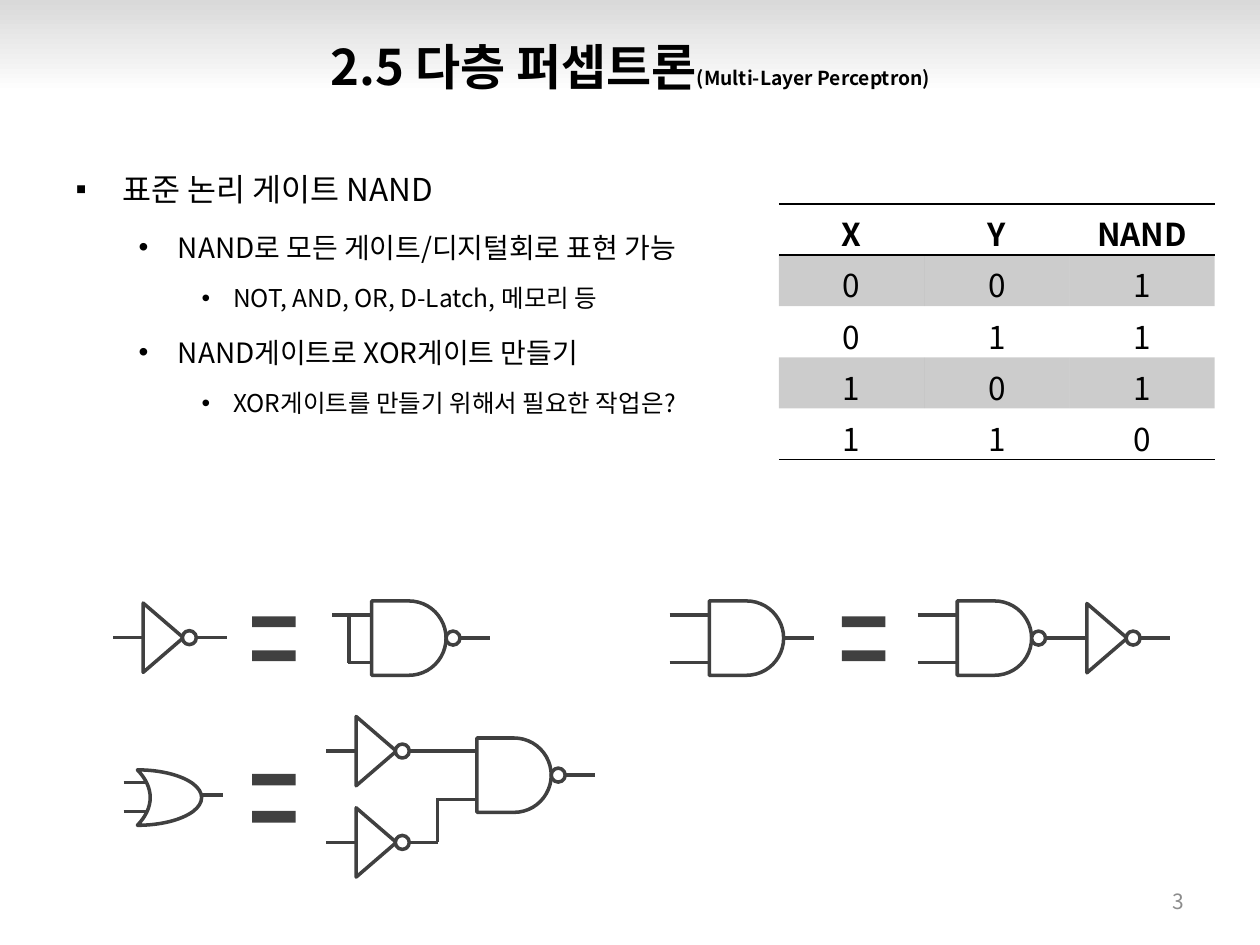
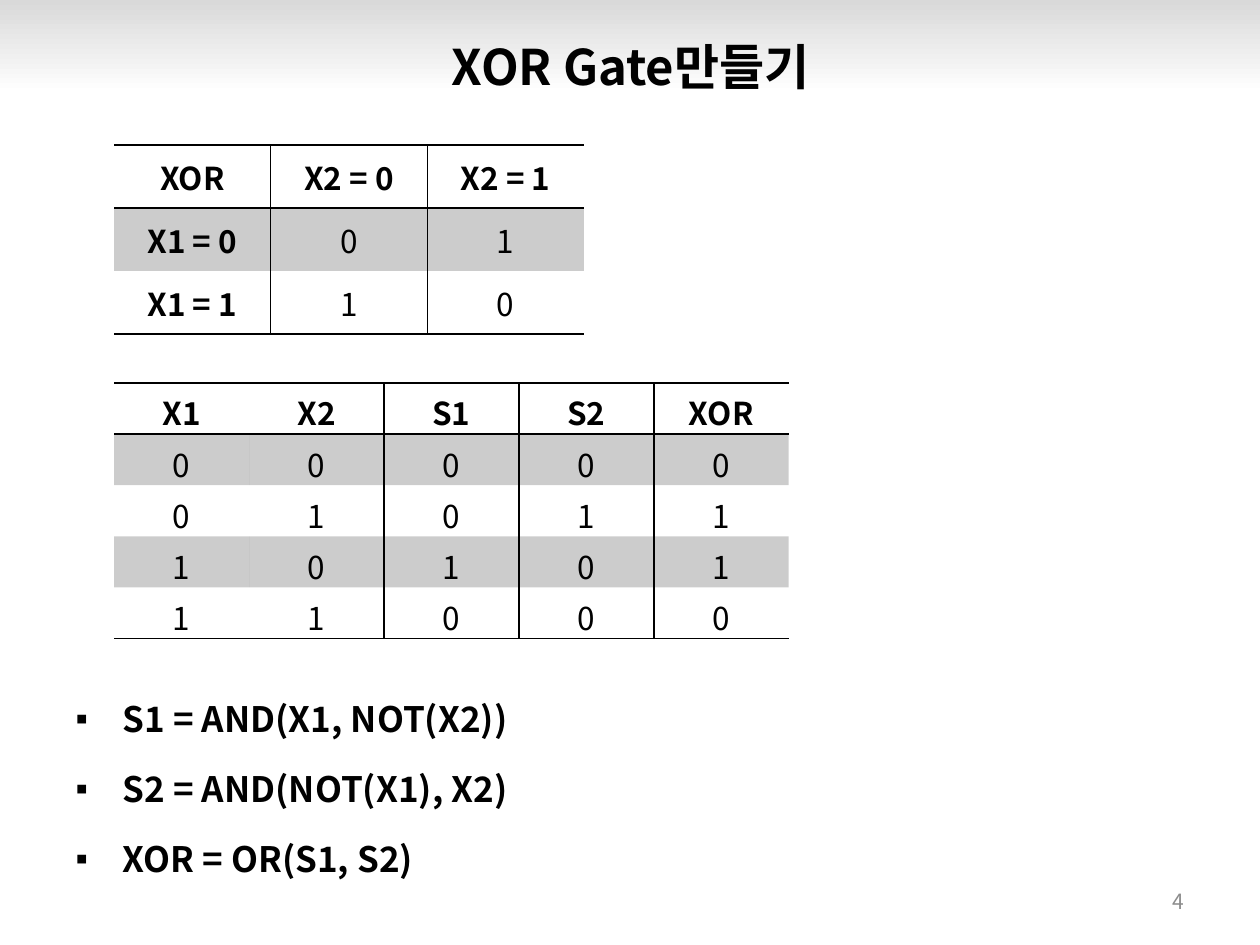
import pptx
import pptx.dml.color
import pptx.enum.shapes
import pptx.enum.text
import pptx.oxml
import pptx.oxml.ns
import pptx.util
from lxml import etree

Pt = pptx.util.Pt
Preset = pptx.enum.shapes.MSO_SHAPE
Align = pptx.enum.text.PP_ALIGN
Anchor = pptx.enum.text.MSO_ANCHOR
qn = pptx.oxml.ns.qn

FONT = "Noto Sans CJK KR"
COLORS = {"text": "000000", "paper": "FFFFFF", "band": "D9D9D9",
          "number": "8C8C8C", "gate": "404040"}
BULLETS = ["▪", "•", "•"]
LEAD = 17.25
BUBBLE = 8
BODY_SIZE = 42.5
INPUT_ROWS = (7.9, 35.3)


def color(name):
    return pptx.dml.color.RGBColor.from_string(COLORS[name])


def set_attributes(target, values):
    for name, value in values.items():
        setattr(target, name, value)


def place(shape, box):
    names = ("left", "top", "width", "height")
    set_attributes(shape, dict(zip(names, map(Pt, box))))


def add_run(paragraph, text, size, bold=False, tone="text"):
    run = paragraph.add_run()
    run.text = text
    set_attributes(run.font, {"size": Pt(size), "bold": bold, "name": FONT})
    run.font.color.rgb = color(tone)
    east_asian = etree.SubElement(run.font._element, qn("a:ea"))
    east_asian.set("typeface", FONT)


def add_band(presentation, slide):
    shape = slide.shapes.add_shape(Preset.RECTANGLE, 0, 0, Pt(720), Pt(53.3))
    shape.shadow.inherit = False
    shape.line.fill.background()
    shape.fill.gradient()
    shape.fill.gradient_angle = 270
    for stop, tone in zip(shape.fill.gradient_stops, ("band", "paper")):
        stop.color.rgb = color(tone)
    shape.element.nvSpPr.cNvPr.set("id", "20")
    presentation.slide_master.shapes.element.insert(2, shape.element)


def add_title(slide, box, parts):
    title = slide.shapes.title
    place(title, box)
    frame = title.text_frame
    set_attributes(frame, {"vertical_anchor": Anchor.MIDDLE,
                           "auto_size": pptx.enum.text.MSO_AUTO_SIZE.NONE})
    frame.paragraphs[0].alignment = Align.CENTER
    for text, size in parts:
        add_run(frame.paragraphs[0], text, size, bold=True)


def add_list(slide, box, items, sizes, bold=False):
    body = slide.placeholders[1]
    place(body, box)
    frame = body.text_frame
    frame.auto_size = pptx.enum.text.MSO_AUTO_SIZE.NONE
    for index, (level, text) in enumerate(items):
        paragraph = frame.add_paragraph() if index else frame.paragraphs[0]
        set_attributes(paragraph, {"level": level, "line_spacing": 1.5})
        bullet = etree.SubElement(paragraph._p.get_or_add_pPr(), qn("a:buChar"))
        bullet.set("char", BULLETS[level])
        add_run(paragraph, text, sizes[level], bold)


def add_number(slide, box, number):
    shape = slide.shapes.add_textbox(*map(Pt, box))
    frame = shape.text_frame
    set_attributes(frame, {"word_wrap": True, "vertical_anchor": Anchor.MIDDLE})
    frame.paragraphs[0].alignment = Align.RIGHT
    add_run(frame.paragraphs[0], str(number), 12, tone="number")


def add_slide(presentation, number, title_parts):
    slide = presentation.slides.add_slide(presentation.slide_layouts[1])
    add_title(slide, (11.5, 9.4, 697.7, 56.9), title_parts)
    add_number(slide, (516, 500.5, 168, 28.8), number)
    return slide


def set_borders(cell, visible):
    properties = cell._tc.get_or_add_tcPr()
    for index, side in enumerate("LRTB"):
        border = etree.Element(qn("a:ln" + side), w=str(Pt(1)))
        if side in visible:
            fill = etree.SubElement(border, qn("a:solidFill"))
            etree.SubElement(fill, qn("a:srgbClr"), val=COLORS["text"])
        else:
            etree.SubElement(border, qn("a:noFill"))
        properties.insert(index, border)


def fill_cell(cell, shaded):
    if not shaded:
        cell.fill.background()
        return
    cell.fill.solid()
    cell.fill.fore_color.rgb = color("text")
    tint = cell._tc.tcPr.find(".//" + qn("a:srgbClr"))
    etree.SubElement(tint, qn("a:alpha"), val="20000")


def add_truth_table(slide, box, rows, rules=(), header_column=False,
                    anchor=Anchor.TOP):
    last = len(rows) - 1
    frame = slide.shapes.add_table(len(rows), len(rows[0]), *map(Pt, box))
    table = frame.table
    for column in table.columns:
        column.width = Pt(box[2] / len(rows[0]))
    for row in table.rows:
        row.height = Pt(box[3] / len(rows))
    for r, row in enumerate(rows):
        for c, text in enumerate(row):
            cell = table.cell(r, c)
            cell.vertical_anchor = anchor
            paragraph = cell.text_frame.paragraphs[0]
            paragraph.alignment = Align.CENTER
            add_run(paragraph, text, 18, r == 0 or (header_column and c == 0))
            fill_cell(cell, r % 2 == 1)
            tests = {"L": c in rules, "R": c + 1 in rules,
                     "T": r < 2, "B": r in (0, last)}
            set_borders(cell, [side for side, shown in tests.items() if shown])


def add_outline(shapes, preset, box, rotation=0):
    shape = shapes.add_shape(preset, *map(Pt, box))
    shape.shadow.inherit = False
    shape.rotation = rotation
    shape.fill.solid()
    shape.fill.fore_color.rgb = color("paper")
    shape.line.color.rgb = color("gate")
    shape.line.width = Pt(2)
    return shape


def add_wire(shapes, x1, y1, x2, y2):
    wire = shapes.add_connector(pptx.enum.shapes.MSO_CONNECTOR.STRAIGHT,
                                *map(Pt, (x1, y1, x2, y2)))
    wire.line.color.rgb = color("gate")
    wire.line.width = Pt(2)
    etree.SubElement(wire.element.spPr, qn("a:effectLst"))


def add_not(shapes, x, y, output=LEAD):
    add_outline(shapes, Preset.FLOWCHART_EXTRACT,
                (x + 8.7, y - 11.5, 39.6, 23), 90)
    add_outline(shapes, Preset.OVAL,
                (x + 39.4, y - BUBBLE / 2, BUBBLE, BUBBLE), 90)
    add_wire(shapes, x, y, x + LEAD, y)
    add_wire(shapes, x + 47.4, y, x + 47.4 + output, y)


def add_and(shapes, x, y, inputs=(22.6, 22.6), inverted=False):
    add_outline(shapes, Preset.FLOWCHART_DELAY, (x, y, BODY_SIZE, BODY_SIZE))
    middle = y + BODY_SIZE / 2
    start = x + BODY_SIZE
    if inverted:
        add_outline(shapes, Preset.OVAL,
                    (start, middle - BUBBLE / 2, BUBBLE, BUBBLE))
        start += BUBBLE
    for row, length in zip(INPUT_ROWS, inputs):
        if length:
            add_wire(shapes, x - length, y + row, x, y + row)
    add_wire(shapes, start, middle, start + LEAD, middle)


def add_or(shapes, x, y):
    for dx, dy in ((0, 23.8), (39.6, 14.4), (0, 7.2)):
        add_wire(shapes, x + dx, y + dy, x + dx + LEAD, y + dy)
    moon = add_outline(shapes, Preset.MOON, (x + 7.9, y, 36.7, 31.7), 180)
    moon.adjustments[0] = 0.8


def add_equals(shapes, box):
    shape = shapes.add_shape(Preset.MATH_EQUAL, *map(Pt, box))
    shape.shadow.inherit = False
    shape.fill.solid()
    shape.fill.fore_color.rgb = color("gate")
    shape.line.fill.background()
    shape.adjustments[0] = 0.235
    shape.adjustments[1] = 0.518


def add_group(slide):
    return slide.shapes.add_group_shape().shapes


def draw_not_from_nand(slide, x, y):
    add_not(add_group(slide), x, y + 21)
    add_equals(slide.shapes, (x + 74.9, y + 8.7, 33.8, 25.9))
    nand = add_group(slide)
    add_and(nand, x + 147.6, y, (22.6, 13.7), inverted=True)
    top, bottom = (y + row for row in INPUT_ROWS)
    add_wire(nand, x + 134.6, top, x + 134.6, bottom)


def draw_and_from_nand(slide, x, y):
    add_and(add_group(slide), x + 22.7, y)
    add_equals(slide.shapes, (x + 94, y + 8.7, 33.8, 25.9))
    circuit = add_group(slide)
    add_and(circuit, x + 164.4, y, inverted=True)
    add_not(circuit, x + 221.5, y + BODY_SIZE / 2)


def draw_or_from_nand(slide, x, y):
    add_or(slide.shapes, x, y + 30.5)
    add_equals(slide.shapes, (x + 69.1, y + 32.7, 33.8, 28.1))
    circuit = add_group(slide)
    add_not(circuit, x + 115.9, y + 19.8, 46.8)
    add_not(circuit, x + 115.9, y + 72, 16.2)
    add_and(circuit, x + 201.9, y + 12.3, (0, 22.6), inverted=True)
    add_wire(circuit, x + 179.3, y + 46.6, x + 179.3, y + 72)


def build_nand_slide(presentation):
    slide = add_slide(presentation, 3, [("2.5 다층 퍼셉트론 ".rstrip(), 28),
                                        ("(Multi-Layer Perceptron)", 11)])
    add_list(slide, (36, 82.8, 648, 243.4),
             [(0, "표준 논리 게이트 NAND"),
              (1, "NAND로 모든 게이트/디지털회로 표현 가능"),
              (2, "NOT, AND, OR, D-Latch, 메모리 등"),
              (1, "NAND게이트로 XOR게이트 만들기"),
              (2, "XOR게이트를 만들기 위해서 필요한 작업은?")], (18, 16, 14))
    add_truth_table(slide, (445, 116.6, 249.1, 146),
                    [("X", "Y", "NAND"), *("001", "011", "101", "110")])
    draw_not_from_nand(slide, 64.8, 343.4)
    draw_and_from_nand(slide, 382.6, 343.4)
    draw_or_from_nand(slide, 70.6, 409.4)
    return slide


def build_xor_slide(presentation):
    slide = add_slide(presentation, 4, [("XOR Gate만들기", 28)])
    add_list(slide, (36, 383, 648, 130.3),
             [(0, "S1 = AND(X1, NOT(X2))"), (0, "S2 = AND(NOT(X1), X2)"),
              (0, "XOR = OR(S1, S2)")], (20,), bold=True)
    add_truth_table(slide, (65.2, 218.9, 385.6, 146),
                    [("X1", "X2", "S1", "S2", "XOR"),
                     *("00000", "01011", "10101", "11000")], rules=(2, 3, 4))
    add_truth_table(slide, (65.2, 82.8, 268.5, 108),
                    [("XOR", "X2 = 0", "X2 = 1"), ("X1 = 0", "0", "1"),
                     ("X1 = 1", "1", "0")], rules=(1, 2),
                    header_column=True, anchor=Anchor.MIDDLE)


presentation = pptx.Presentation()
set_attributes(presentation, {"slide_width": Pt(720), "slide_height": Pt(540)})
add_band(presentation, build_nand_slide(presentation))
build_xor_slide(presentation)
presentation.save("out.pptx")
